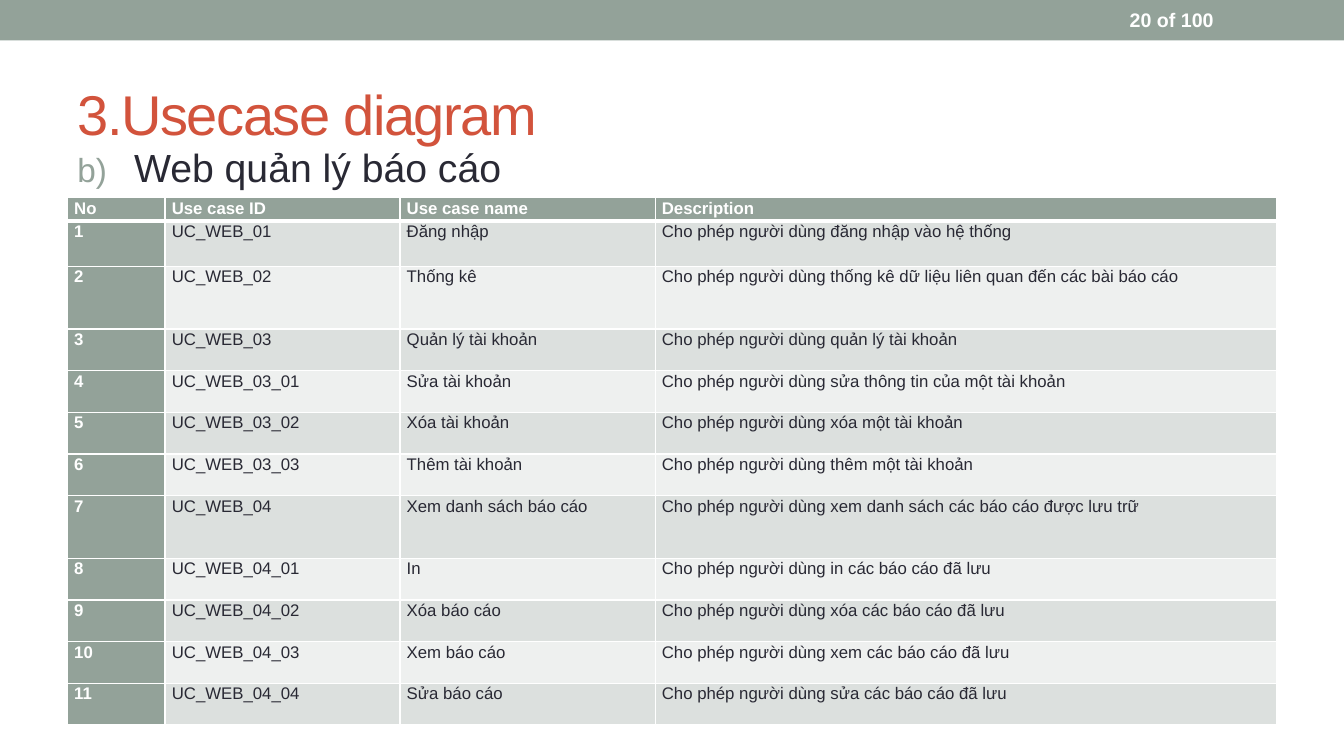
from lxml.etree import SubElement as Sub
from pptx import Presentation
from pptx.dml.color import RGBColor as Rgb
from pptx.enum.shapes import MSO_SHAPE as Form
from pptx.enum.text import MSO_ANCHOR as Anchor
from pptx.oxml.ns import qn
from pptx.util import Cm, Pt

HUES = {
    "sage": "93A299", "rust": "D2533C", "ink": "292934",
    "white": "FFFFFF", "dark": "DCE0DE", "light": "EEF0EF",
}
HEAD = ["No", "Use case ID", "Use case name", "Description"]
CASES = [
    ("01", "Đăng nhập", "đăng nhập vào hệ thống"),
    ("02", "Thống kê", "thống kê dữ liệu liên quan đến các bài báo cáo"),
    ("03", "Quản lý tài khoản", "quản lý tài khoản"),
    ("03_01", "Sửa tài khoản", "sửa thông tin của một tài khoản"),
    ("03_02", "Xóa tài khoản", "xóa một tài khoản"),
    ("03_03", "Thêm tài khoản", "thêm một tài khoản"),
    ("04", "Xem danh sách báo cáo", "xem danh sách các báo cáo được lưu trữ"),
    ("04_01", "In", "in các báo cáo đã lưu"),
    ("04_02", "Xóa báo cáo", "xóa các báo cáo đã lưu"),
    ("04_03", "Xem báo cáo", "xem các báo cáo đã lưu"),
    ("04_04", "Sửa báo cáo", "sửa các báo cáo đã lưu"),
]
WIDTHS = [2.46, 5.92, 6.43, 15.67]
HIGH = {0: 0.58, 1: 1.15, 2: 1.58, 7: 1.58}
ROW = 1.05


class Deck:
    def __init__(self, slide, font):
        self.slide = slide
        self.font = font

    def color(self, hue):
        return Rgb.from_string(HUES[hue])

    def style(self, para, size, hue, bold=False):
        for run in para.runs:
            font = run.font
            font.name, font.size, font.bold = self.font, Pt(size), bold
            font.color.rgb = self.color(hue)

    def bar(self, *box, hue):
        bar = self.slide.shapes.add_shape(Form.RECTANGLE, *map(Cm, box))
        bar.shadow.inherit = False
        bar.fill.solid()
        bar.fill.fore_color.rgb = self.color(hue)
        bar.line.fill.background()

    def text(self, words, *box, size, hue, bold=False, anchor=Anchor.MIDDLE):
        frame = self.slide.shapes.add_textbox(*map(Cm, box)).text_frame
        frame.word_wrap = True
        frame.vertical_anchor = anchor
        frame.text = words
        para = frame.paragraphs[0]
        self.style(para, size, hue, bold)
        return para

    def letter(self, para, start, hue, indent):
        """Number the paragraph with a letter and a hanging indent."""
        props = para._p.get_or_add_pPr()
        props.set("marL", str(Cm(indent)))
        props.set("indent", str(-Cm(indent)))
        tint = Sub(props, qn("a:buClr"))
        Sub(tint, qn("a:srgbClr"), val=HUES[hue])
        Sub(props, qn("a:buSzPct"), val="85000")
        Sub(props, qn("a:buFont"), typeface=self.font)
        Sub(props, qn("a:buAutoNum"), type="alphaLcParenR", startAt=str(start))

    def edge(self, cell, hue, **sides):
        """Draw cell borders, given as side=width in points."""
        props = cell._tc.get_or_add_tcPr()
        for spot, (side, width) in enumerate(sides.items()):
            line = Sub(props, qn(f"a:ln{side}"), w=str(Pt(width)))
            fill = Sub(line, qn("a:solidFill"))
            Sub(fill, qn("a:srgbClr"), val=HUES[hue])
            props.insert(spot, line)

    def cell(self, cell, words, fill, hue, bold):
        cell.fill.solid()
        cell.fill.fore_color.rgb = self.color(fill)
        cell.margin_left = cell.margin_right = Cm(0.17)
        cell.margin_top = cell.margin_bottom = 0
        cell.text_frame.text = words
        para = cell.text_frame.paragraphs[0]
        para.line_spacing = 1.07
        self.style(para, 12, hue, bold)

    def table(self, rows, left, top, widths, heights):
        box = map(Cm, (left, top, sum(widths), sum(heights)))
        grid = self.slide.shapes.add_table(len(rows), len(widths), *box).table
        for col, width in zip(grid.columns, widths):
            col.width = Cm(width)
        for i, (row, height) in enumerate(zip(rows, heights)):
            grid.rows[i].height = Cm(height)
            for j, words in enumerate(row):
                cell = grid.cell(i, j)
                if i == 0 or j == 0:
                    self.cell(cell, words, "sage", "white", True)
                else:
                    band = "dark" if i % 2 else "light"
                    self.cell(cell, words, band, "ink", False)
                self.edge(cell, "white", L=1, R=1,
                          T=3 if i == 1 else 1, B=3 if i == 0 else 1)


def main():
    prs = Presentation()
    prs.slide_width, prs.slide_height = Cm(33.87), Cm(19.05)
    deck = Deck(prs.slides.add_slide(prs.slide_layouts[6]), "Arial")

    deck.bar(0, 0, 33.87, 1.02, hue="sage")
    title = deck.text("3.Usecase diagram", 1.7, 1.47, 30.48, 2.74,
                      size=40, hue="rust")
    title.runs[0].font._element.set("spc", "-100")
    topic = deck.text("Web quản lý báo cáo", 1.7, 3.48, 30.48, 1.5,
                      size=28, hue="ink", anchor=Anchor.TOP)
    topic.space_before = Pt(5.6)
    deck.letter(topic, 2, "sage", 1.43)

    rows = [HEAD] + [
        (str(no), f"UC_WEB_{code}", name, f"Cho phép người dùng {task}")
        for no, (code, name, task) in enumerate(CASES, 1)
    ]
    heights = [HIGH.get(i, ROW) for i in range(len(rows))]
    deck.table(rows, 1.7, 4.98, WIDTHS, heights)
    deck.text("20 of 100", 28.22, 0.05, 3.96, 0.91,
              size=14, hue="white", bold=True)
    prs.save("out.pptx")


if __name__ == "__main__":
    main()
